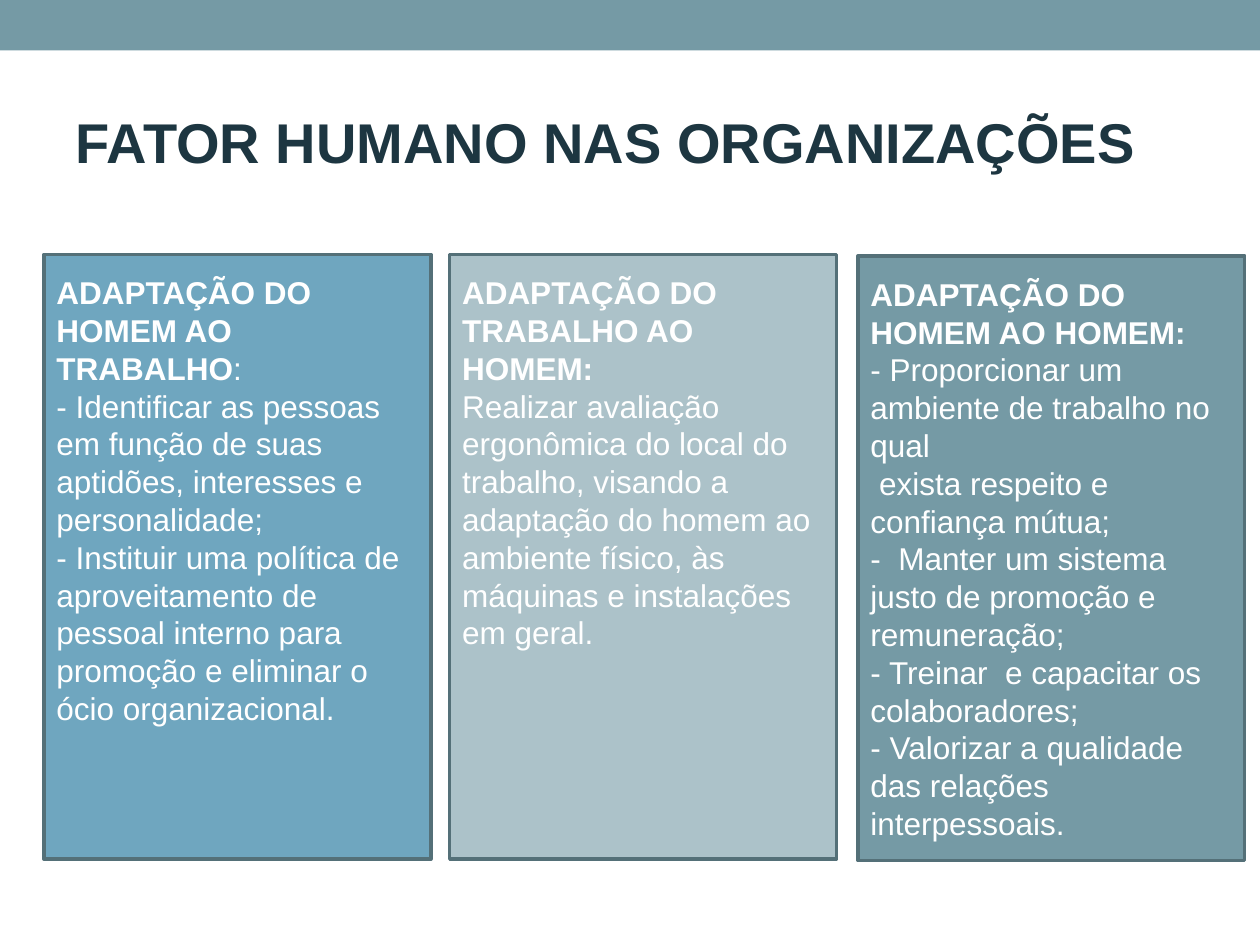
from pptx import Presentation
from pptx.dml.color import RGBColor
from pptx.enum import shapes, text
from pptx.util import Pt


def paint(form, tone):
    form.solid()
    form.fore_color.rgb = RGBColor.from_string(tone)


def style(font, tone, **form):
    paint(font.fill, tone)
    for key, val in form.items():
        setattr(font, key, val)


deck = Presentation()
deck.slide_width, deck.slide_height = Pt(720), Pt(540)
slide = deck.slides.add_slide(deck.slide_layouts[5])
rect = shapes.MSO_SHAPE.RECTANGLE

bar = slide.shapes.add_shape(rect, 0, 0, Pt(720), Pt(28.8))
bar.shadow.inherit = False
paint(bar.fill, "759AA5")
bar.line.fill.background()

title = slide.shapes.title
place = {"left": 36, "top": 41.8, "width": 648, "height": 77.8}
for key, val in place.items():
    setattr(title, key, Pt(val))
title.text_frame.text = "FATOR HUMANO NAS ORGANIZAÇÕES"
title.text_frame.vertical_anchor = text.MSO_ANCHOR.MIDDLE
para = title.text_frame.paragraphs[0]
para.alignment = text.PP_ALIGN.LEFT
style(para.runs[0].font, "1D3641", name="Arial", size=Pt(32), bold=True)

cards = [
    (25.2, 145.4, "6FA6BF", "ADAPTAÇÃO DO HOMEM AO TRABALHO", ":", [
        "- Identificar as pessoas em função de suas aptidões, interesses e personalidade;",
        "- Instituir uma política de aproveitamento de pessoal interno para promoção e eliminar o ócio organizacional.",
    ]),
    (257, 145.4, "ACC2C9", "ADAPTAÇÃO DO TRABALHO AO HOMEM:", "", [
        "Realizar avaliação ergonômica do local do trabalho, visando a adaptação do homem ao ambiente físico, às máquinas e instalações em geral.",
    ]),
    (490.3, 146.2, "759AA5", "ADAPTAÇÃO DO HOMEM AO HOMEM:", "", [
        "- Proporcionar um ambiente de trabalho no qual\v exista respeito e confiança mútua;",
        "-  Manter um sistema justo de promoção e remuneração;",
        "- Treinar  e capacitar os colaboradores;",
        "- Valorizar a qualidade das relações interpessoais.",
    ]),
]
inset = {
    "margin_left": Pt(7.2), "margin_right": Pt(7.2),
    "margin_top": Pt(10.8), "margin_bottom": Pt(3.6),
    "word_wrap": True, "vertical_anchor": text.MSO_ANCHOR.TOP,
}
for left, top, tone, head, tail, items in cards:
    card = slide.shapes.add_shape(rect, Pt(left), Pt(top), Pt(221), Pt(345.6))
    card.shadow.inherit = False
    paint(card.fill, tone)
    paint(card.line.fill, "547078")
    card.line.width = Pt(2.07)
    frame = card.text_frame
    for key, val in inset.items():
        setattr(frame, key, val)
    frame.text = "\n".join([head, *items])
    if tail:
        frame.paragraphs[0].add_run().text = tail
    for para in frame.paragraphs:
        para.alignment = text.PP_ALIGN.LEFT
        para.line_spacing = Pt(21.6)
        for run in para.runs:
            style(run.font, "FFFFFF", name="Arial", size=Pt(18), bold=run.text == head)

deck.save("out.pptx")
